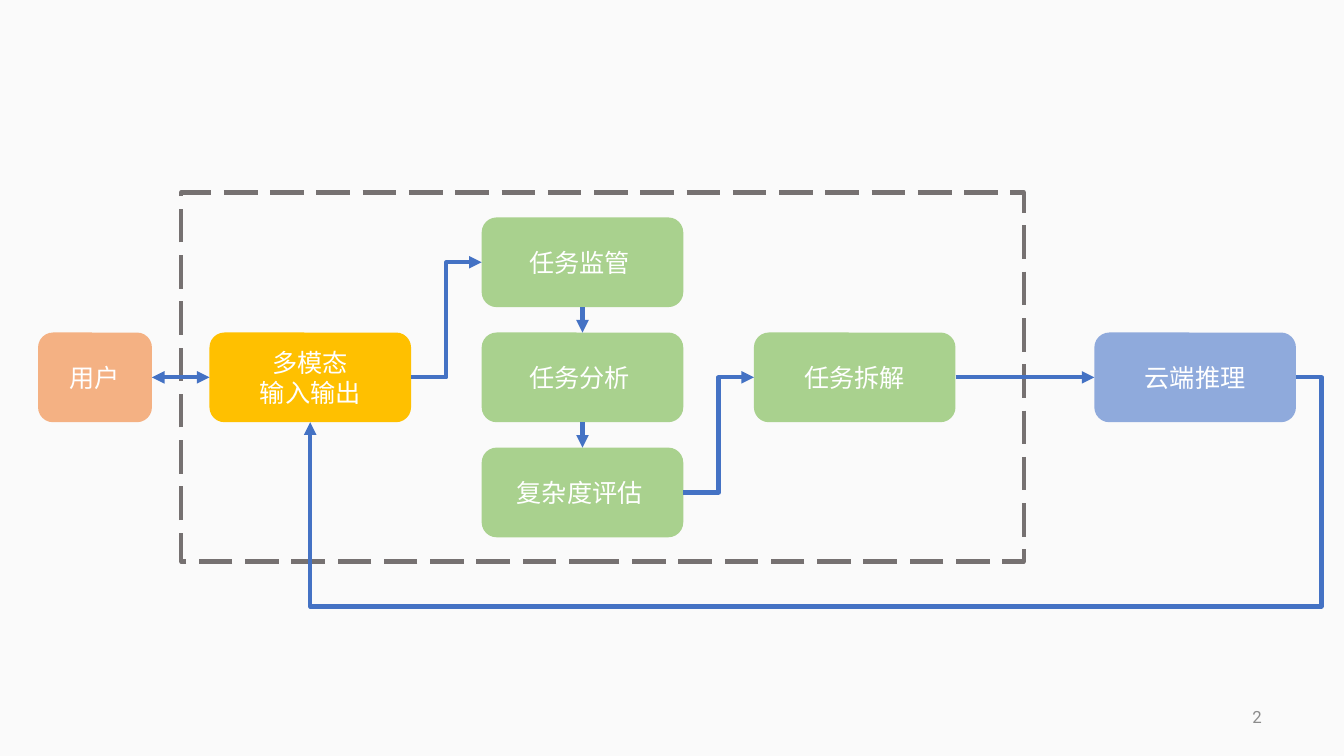
from lxml.etree import SubElement
from pptx import Presentation
from pptx.dml.color import RGBColor
from pptx.enum.dml import MSO_LINE
from pptx.enum.shapes import MSO_CONNECTOR as CONNECTOR, MSO_SHAPE as SHAPE
from pptx.enum.text import MSO_ANCHOR, PP_ALIGN
from pptx.oxml.ns import qn
from pptx.util import Cm, Pt

BACKGROUND = RGBColor(0xFA, 0xFA, 0xFA)
WHITE = RGBColor(0xFF, 0xFF, 0xFF)
GREEN = RGBColor(0xA9, 0xD1, 0x8E)
BLUE = RGBColor(0x8F, 0xAA, 0xDC)
YELLOW = RGBColor(0xFF, 0xC0, 0x00)
ORANGE = RGBColor(0xF4, 0xB1, 0x83)
FRAME_GRAY = RGBColor(0x76, 0x71, 0x71)
NUMBER_GRAY = RGBColor(0x8C, 0x8C, 0x8C)
ARROW_BLUE = RGBColor(0x44, 0x72, 0xC4)

BOX_FONT = "Noto Sans CJK SC"
NUMBER_FONT = "Roboto"
BOX_WIDTH, BOX_HEIGHT = 5.08, 2.26
ROW_TOP, ROW_STEP = 5.48, 2.9
TOP, MIDDLE, BOTTOM = (ROW_TOP + row * ROW_STEP for row in range(3))
TOP_SIDE, LEFT_SIDE, BOTTOM_SIDE, RIGHT_SIDE = range(4)


def format_text(text_frame, font_name, size, color, alignment):
    text_frame.vertical_anchor = MSO_ANCHOR.MIDDLE
    for paragraph in text_frame.paragraphs:
        paragraph.alignment = alignment
        for run in paragraph.runs:
            run.font.name = font_name
            run.font.size = Pt(size)
            run.font.color.rgb = color
            # East Asian characters take their own typeface
            east_asian = SubElement(run.font._element, qn("a:ea"))
            east_asian.set("typeface", font_name)


def add_box(slide, text, left, top, color, width=BOX_WIDTH):
    shape = slide.shapes.add_shape(
        SHAPE.ROUNDED_RECTANGLE, Cm(left), Cm(top), Cm(width), Cm(BOX_HEIGHT))
    shape.shadow.inherit = False
    shape.fill.solid()
    shape.fill.fore_color.rgb = color
    shape.line.fill.background()
    shape.text_frame.text = text
    format_text(shape.text_frame, BOX_FONT, 18, WHITE, PP_ALIGN.CENTER)
    return shape


def add_dashed_frame(slide, left, top, width, height):
    shape = slide.shapes.add_shape(
        SHAPE.RECTANGLE, Cm(left), Cm(top), Cm(width), Cm(height))
    shape.shadow.inherit = False
    shape.fill.background()
    shape.line.color.rgb = FRAME_GRAY
    shape.line.width = Pt(3)
    shape.line.dash_style = MSO_LINE.LONG_DASH


def add_arrow(slide, start, start_side, end, end_side,
              kind=CONNECTOR.STRAIGHT, ends=("tailEnd",)):
    connector = slide.shapes.add_connector(kind, 0, 0, 0, 0)
    connector.begin_connect(start, start_side)
    connector.end_connect(end, end_side)
    connector.line.color.rgb = ARROW_BLUE
    connector.line.width = Pt(3)
    properties = connector._element.spPr
    for end_name in ends:
        SubElement(properties.find(qn("a:ln")), qn(f"a:{end_name}")).set("type", "triangle")
    SubElement(properties, qn("a:effectLst"))
    return connector


def route_around(connector, *adjustments):
    """Give an elbow arrow a second bend, placed in thousandths of a percent."""
    geometry = connector._element.spPr.find(qn("a:prstGeom"))
    geometry.set("prst", "bentConnector4")
    guides = geometry.find(qn("a:avLst"))
    if guides is None:
        guides = SubElement(geometry, qn("a:avLst"))
    for number, value in enumerate(adjustments, start=1):
        guide = SubElement(guides, qn("a:gd"))
        guide.set("name", f"adj{number}")
        guide.set("fmla", f"val {value}")


def add_page_number(slide, text):
    box = slide.shapes.add_textbox(Cm(24.43), Cm(17.55), Cm(7.62), Cm(1.02))
    box.text_frame.word_wrap = True
    box.text_frame.text = text
    format_text(box.text_frame, NUMBER_FONT, 12, NUMBER_GRAY, PP_ALIGN.RIGHT)


def main():
    presentation = Presentation()
    presentation.slide_width, presentation.slide_height = Cm(33.87), Cm(19.05)
    slide = presentation.slides.add_slide(presentation.slide_layouts[6])
    slide.background.fill.solid()
    slide.background.fill.fore_color.rgb = BACKGROUND
    add_page_number(slide, "2")

    # Processing steps
    supervision = add_box(slide, "任务监管 ", 12.14, TOP, GREEN)
    analysis = add_box(slide, "任务分析 ", 12.14, MIDDLE, GREEN)
    evaluation = add_box(slide, "复杂度评估 ", 12.14, BOTTOM, GREEN)
    breakdown = add_box(slide, "任务拆解", 19, MIDDLE, GREEN)
    cloud = add_box(slide, "云端推理", 27.58, MIDDLE, BLUE)
    interface = add_box(slide, "多模态\n输入输出", 5.28, MIDDLE, YELLOW)
    user = add_box(slide, "用户", 0.96, MIDDLE, ORANGE, width=2.87)
    add_dashed_frame(slide, 4.57, 4.85, 21.23, 9.3)

    # Straight arrows
    add_arrow(slide, supervision, BOTTOM_SIDE, analysis, TOP_SIDE)
    add_arrow(slide, analysis, BOTTOM_SIDE, evaluation, TOP_SIDE)
    add_arrow(slide, breakdown, RIGHT_SIDE, cloud, LEFT_SIDE)
    add_arrow(slide, user, RIGHT_SIDE, interface, LEFT_SIDE,
              ends=("headEnd", "tailEnd"))

    # Elbow arrows, the last one returning below the frame
    add_arrow(slide, interface, RIGHT_SIDE, supervision, LEFT_SIDE, CONNECTOR.ELBOW)
    add_arrow(slide, evaluation, RIGHT_SIDE, breakdown, LEFT_SIDE, CONNECTOR.ELBOW)
    feedback = add_arrow(slide, cloud, RIGHT_SIDE, interface, BOTTOM_SIDE, CONNECTOR.ELBOW)
    route_around(feedback, -2600, 510800)

    presentation.save("out.pptx")


if __name__ == "__main__":
    main()
